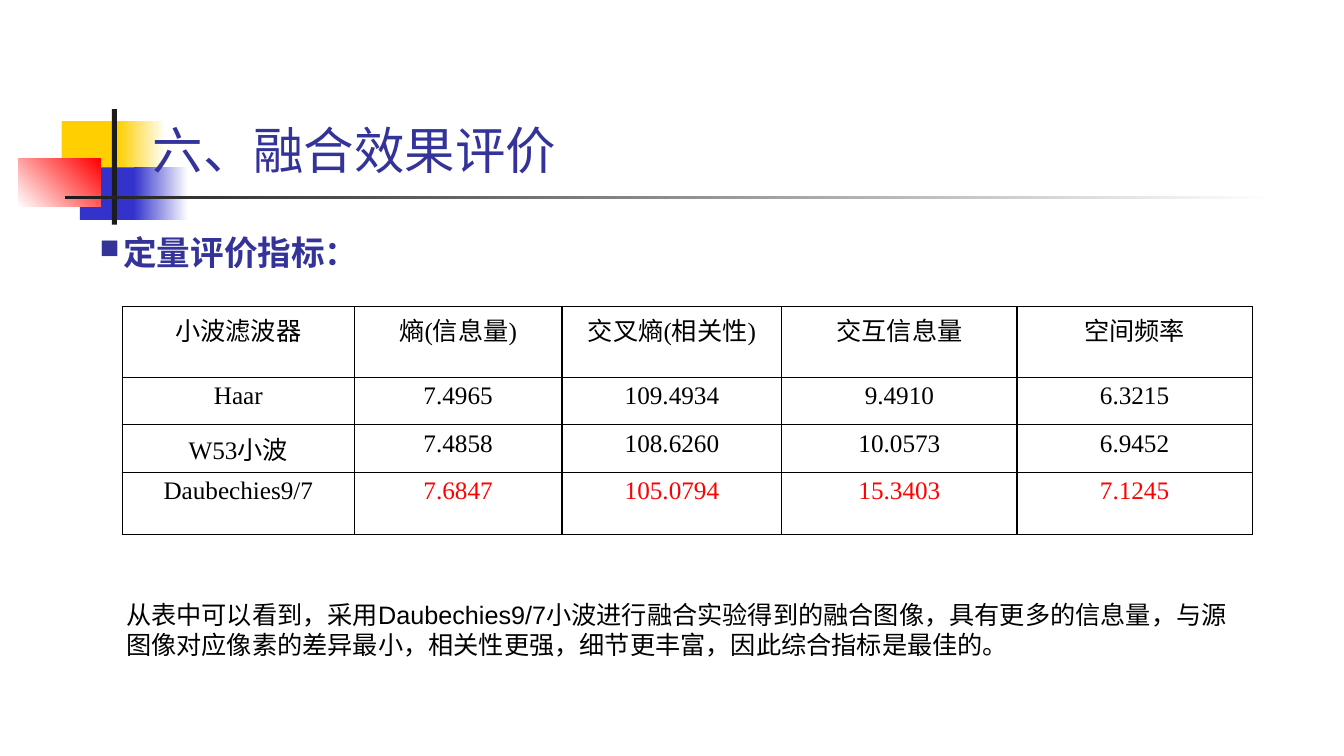
"""Build the slide on quantitative evaluation of wavelet image fusion."""
from lxml.etree import SubElement
from pptx import Presentation
from pptx.dml.color import RGBColor
from pptx.enum.shapes import MSO_SHAPE
from pptx.enum.text import MSO_ANCHOR, PP_ALIGN
from pptx.oxml.ns import qn
from pptx.util import Pt


def color(hex_string):
    return RGBColor.from_string(hex_string)


def style(paragraph, size, name, hex_string, bold=False):
    paragraph.font.size = Pt(size)
    paragraph.font.name = name
    paragraph.font.color.rgb = color(hex_string)
    paragraph.font.bold = bold


presentation = Presentation()
presentation.slide_width = Pt(960)
presentation.slide_height = Pt(540)
slide = presentation.slides.add_slide(presentation.slide_layouts[6])

decorations = [
    (44, 86.5, 46, 37.5, ["FFCF01"], 0),
    (84, 86.5, 34.5, 37.5, ["FFCF01", "FFFFFF"], 0),
    (57, 119.5, 44.5, 37.5, ["3333CC"], 0),
    (95.5, 119.5, 39, 37.5, ["3333CC", "FFFFFF"], 0),
    (13, 113.5, 59, 34, ["FFFFFF", "FF0000"], 45),
    (80, 78, 3.5, 82.5, ["1C1C1C"], 0),
    (46.5, 140, 863.5, 2.5, ["1C1C1C", "FFFFFF"], 0),
]
for left, top, width, height, colors, angle in decorations:
    shape = slide.shapes.add_shape(
        MSO_SHAPE.RECTANGLE, Pt(left), Pt(top), Pt(width), Pt(height))
    shape.shadow.inherit = False
    shape.line.fill.background()
    if len(colors) == 1:
        shape.fill.solid()
        shape.fill.fore_color.rgb = color(colors[0])
    else:
        shape.fill.gradient()
        shape.fill.gradient_angle = angle
        for stop, hex_string in zip(shape.fill.gradient_stops, colors):
            stop.color.rgb = color(hex_string)

rows = [
    ["小波滤波器", "熵(信息量)", "交叉熵(相关性)", "交互信息量", "空间频率"],
    ["Haar", "7.4965", "109.4934", "9.4910", "6.3215"],
    ["W53小波", "7.4858", "108.6260", "10.0573", "6.9452"],
    ["Daubechies9/7", "7.6847", "105.0794", "15.3403", "7.1245"],
]
column_widths = [165.5, 148.5, 157, 168, 168]
row_heights = [50.5, 34, 34, 44.5]
table = slide.shapes.add_table(
    len(rows), len(column_widths), Pt(87.5), Pt(219),
    Pt(sum(column_widths)), Pt(sum(row_heights))).table
table.first_row = False
table.horz_banding = False
for column, width in zip(table.columns, column_widths):
    column.width = Pt(width)
for row, height in zip(table.rows, row_heights):
    row.height = Pt(height)
for row_index, values in enumerate(rows):
    for column_index, value in enumerate(values):
        cell = table.cell(row_index, column_index)
        cell.margin_left = cell.margin_right = Pt(9)
        cell.margin_top = cell.margin_bottom = Pt(3.6)
        cell.text = value
        paragraph = cell.text_frame.paragraphs[0]
        paragraph.alignment = PP_ALIGN.CENTER
        best = row_index == len(rows) - 1 and column_index > 0
        style(paragraph, 18, "Times New Roman", "FF0000" if best else "000000")
        properties = cell._tc.get_or_add_tcPr()
        for side in ("a:lnL", "a:lnR", "a:lnT", "a:lnB"):
            border = SubElement(properties, qn(side), w=str(Pt(1)))
            border_fill = SubElement(border, qn("a:solidFill"))
            SubElement(border_fill, qn("a:srgbClr"), val="000000")
        cell.fill.background()

texts = [
    ("从表中可以看到，采用Daubechies9/7小波进行融合实验得到的融合图像，"
     "具有更多的信息量，与源图像对应像素的差异最小，相关性更强，"
     "细节更丰富，因此综合指标是最佳的。",
     83, 424, 813, 51, MSO_ANCHOR.MIDDLE, 18, "Arial", "000000", False),
    ("六、融合效果评价",
     102, 77, 818, 55, MSO_ANCHOR.BOTTOM, 36, "Times New Roman", "333399", False),
    ("定量评价指标：",
     64, 162, 605, 36, MSO_ANCHOR.TOP, 24, "Times New Roman", "333399", True),
]
for text, left, top, width, height, anchor, size, name, hex_string, heading in texts:
    box = slide.shapes.add_textbox(Pt(left), Pt(top), Pt(width), Pt(height))
    frame = box.text_frame
    frame.word_wrap = True
    frame.vertical_anchor = anchor
    frame.text = text
    paragraph = frame.paragraphs[0]
    if heading:
        properties = paragraph._p.get_or_add_pPr()
        properties.set("marL", str(Pt(17)))
        properties.set("indent", str(-Pt(17)))
        SubElement(properties, qn("a:buSzPct"), val="80000")
        SubElement(properties, qn("a:buChar"), char="■")
    style(paragraph, size, name, hex_string, heading)

presentation.save("out.pptx")
